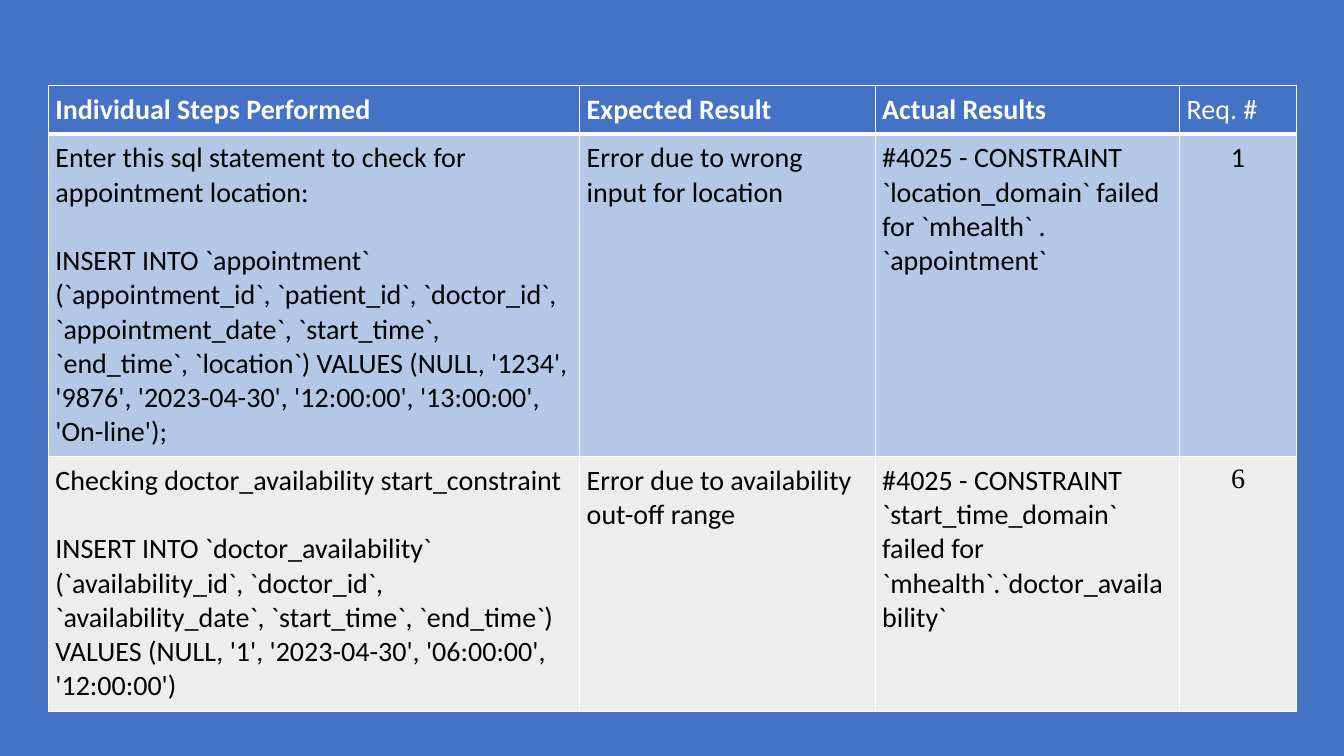
from lxml.etree import SubElement
from pptx import Presentation
from pptx.dml.color import RGBColor as Rgb
from pptx.enum.text import PP_ALIGN as Align
from pptx.oxml import parse_xml
from pptx.oxml.ns import nsdecls
from pptx.util import Inches, Pt

THEME = {
    "blue": "4472C4", "white": "FFFFFF", "black": "000000",
    "rows": ["4472C4", "B4C7E7", "EDEDED"],
    "font": "Calibri", "serif": "Times New Roman",
    "size": Pt(20), "gap": Pt(24.4), "margin": Inches(0.07),
}
COLUMNS = [5.27, 2.93, 3.02, 1.16]
ROWS = [0.48, 3.2, 2.53]
TEST_CASES = [
    [["Individual Steps Performed"], ["Expected Result"], ["Actual Results"], ["Req. #"]],
    [
        ["Enter this sql statement to check for appointment location:",
         "INSERT INTO `appointment` (`appointment_id`, `patient_id`, `doctor_id`, "
         "`appointment_date`, `start_time`, `end_time`, `location`) VALUES (NULL, '1234', "
         "'9876', '2023-04-30', '12:00:00', '13:00:00', 'On-line');"],
        ["Error due to wrong input for location"],
        ["#4025 - CONSTRAINT `location_domain` failed for `mhealth` . `appointment`"],
        ["1"],
    ],
    [
        ["Checking doctor_availability start_constraint",
         "INSERT INTO `doctor_availability` (`availability_id`, `doctor_id`, "
         "`availability_date`, `start_time`, `end_time`) VALUES (NULL, '1', "
         "'2023-04-30', '06:00:00', '12:00:00')"],
        ["Error due to availability", "out-off range"],
        ["#4025 - CONSTRAINT `start_time_domain` failed for `mhealth`.`doctor_availability`"],
        ["6"],
    ],
]


def add_borders(cell, widths):
    props = cell._tc.get_or_add_tcPr()
    for place, (side, points) in enumerate(widths.items()):
        props.insert(place, parse_xml(
            f'<a:ln{side} {nsdecls("a")} w="{Pt(points)}"><a:solidFill>'
            f'<a:srgbClr val="{THEME["white"]}"/></a:solidFill></a:ln{side}>'))


deck = Presentation()
deck.slide_width, deck.slide_height = Inches(13.33), Inches(7.5)
slide = deck.slides.add_slide(deck.slide_layouts[6])
slide.background.fill.solid()
slide.background.fill.fore_color.rgb = Rgb.from_string(THEME["blue"])

results = slide.shapes.add_table(
    len(ROWS), len(COLUMNS), Inches(0.48), Inches(0.85),
    Inches(sum(COLUMNS)), Inches(sum(ROWS))).table
results.horz_banding = False
for column, width in zip(results.columns, COLUMNS):
    column.width = Inches(width)
for row, height in zip(results.rows, ROWS):
    row.height = Inches(height)

for r, case in enumerate(TEST_CASES):
    header = r == 0
    for c, lines in enumerate(case):
        requirement = c == len(COLUMNS) - 1
        cell = results.cell(r, c)
        cell.margin_left = cell.margin_right = THEME["margin"]
        cell.margin_top = cell.margin_bottom = THEME["margin"]
        cell.fill.solid()
        cell.fill.fore_color.rgb = Rgb.from_string(THEME["rows"][r])
        add_borders(cell, {"L": 1, "R": 1, "T": 3 if r == 1 else 1, "B": 3 if header else 1})
        cell.text = "\n".join(lines)
        for n, line in enumerate(cell.text_frame.paragraphs):
            line.alignment = Align.CENTER if requirement and not header else Align.LEFT
            if c == 0 and n:
                line.space_before = THEME["gap"]
            line.font.size = THEME["size"]
            line.font.name = THEME["serif"] if lines == ["6"] else THEME["font"]
            line.font.bold = header and not requirement
            line.font.color.rgb = Rgb.from_string(THEME["white" if header else "black"])

deck.save("out.pptx")
